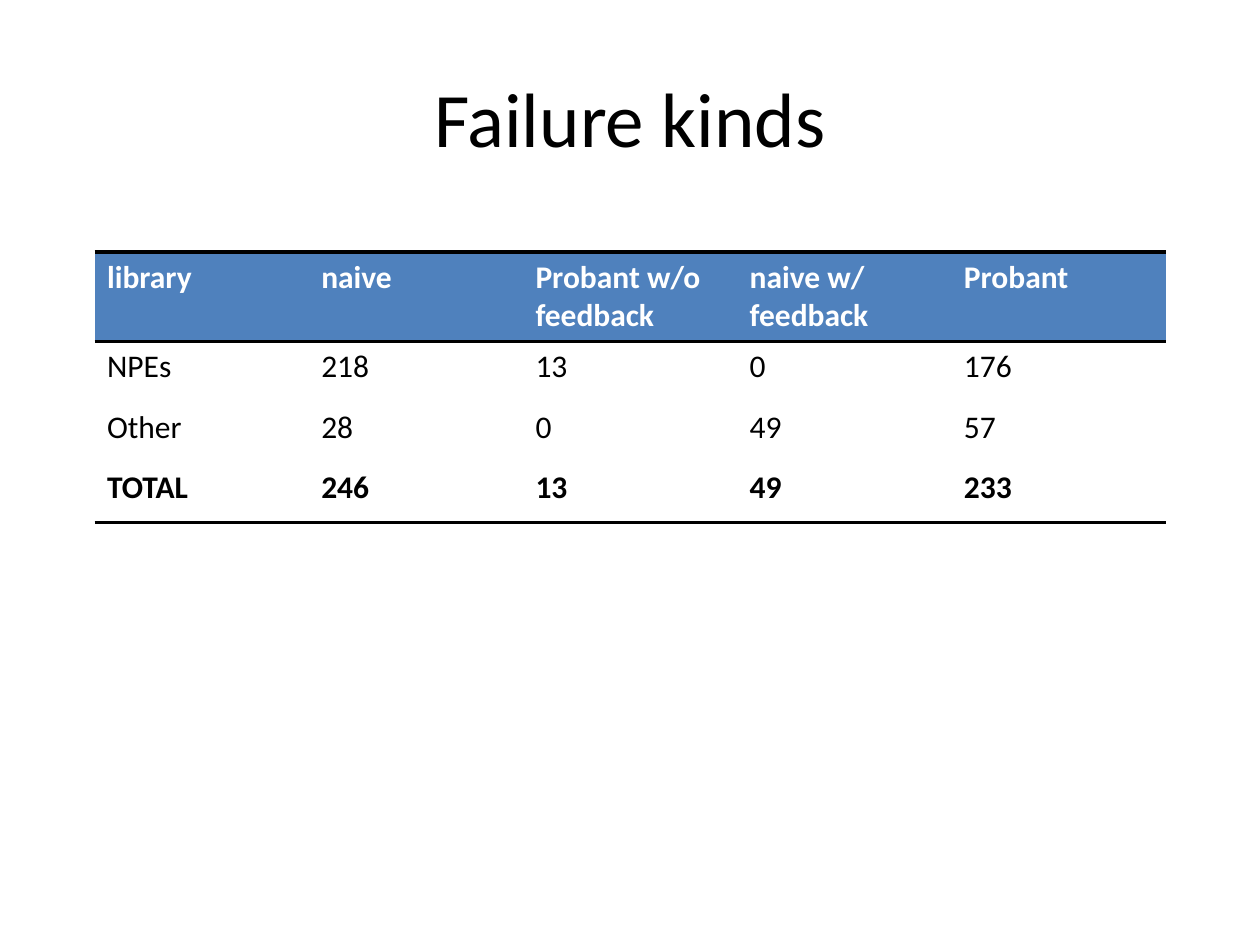
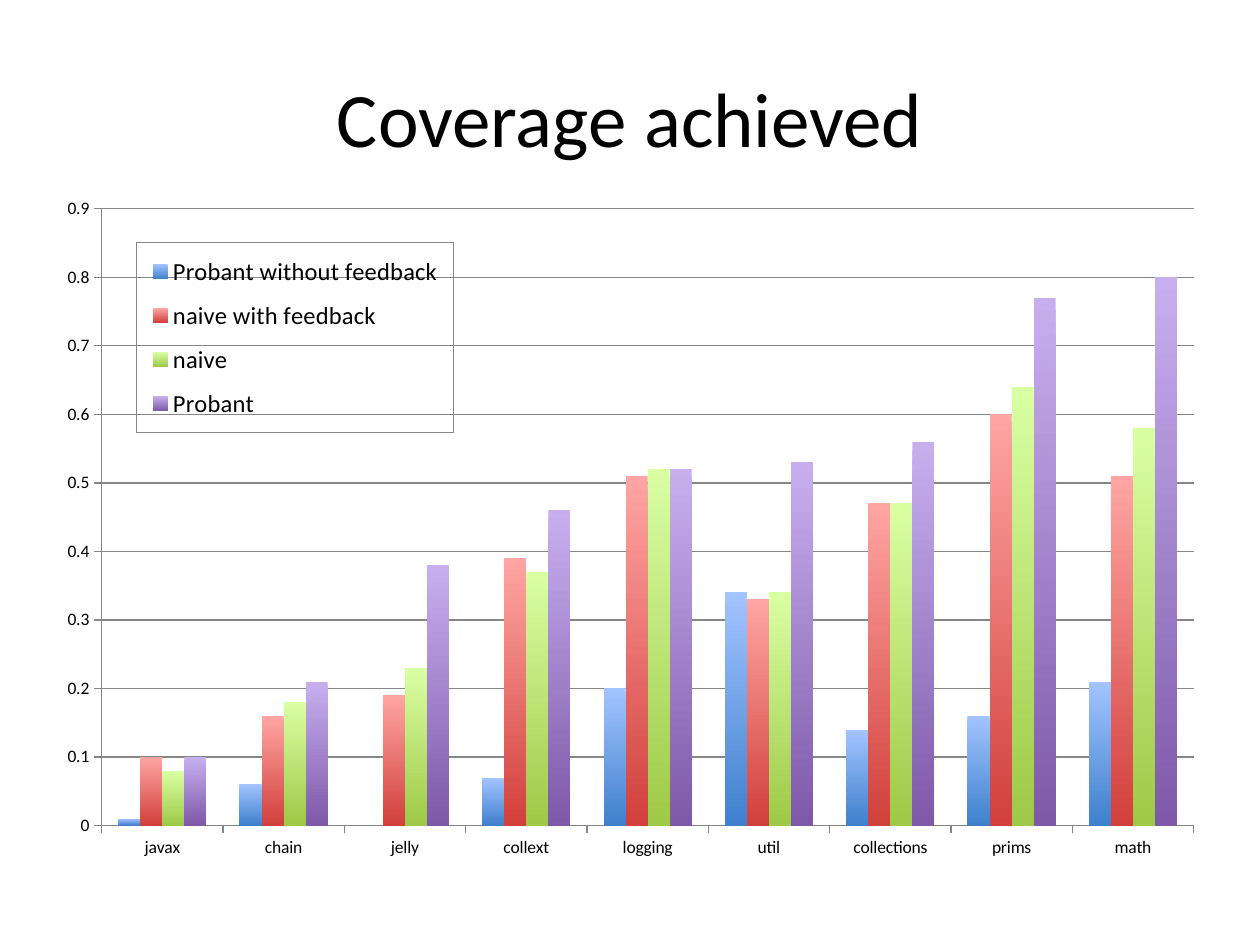
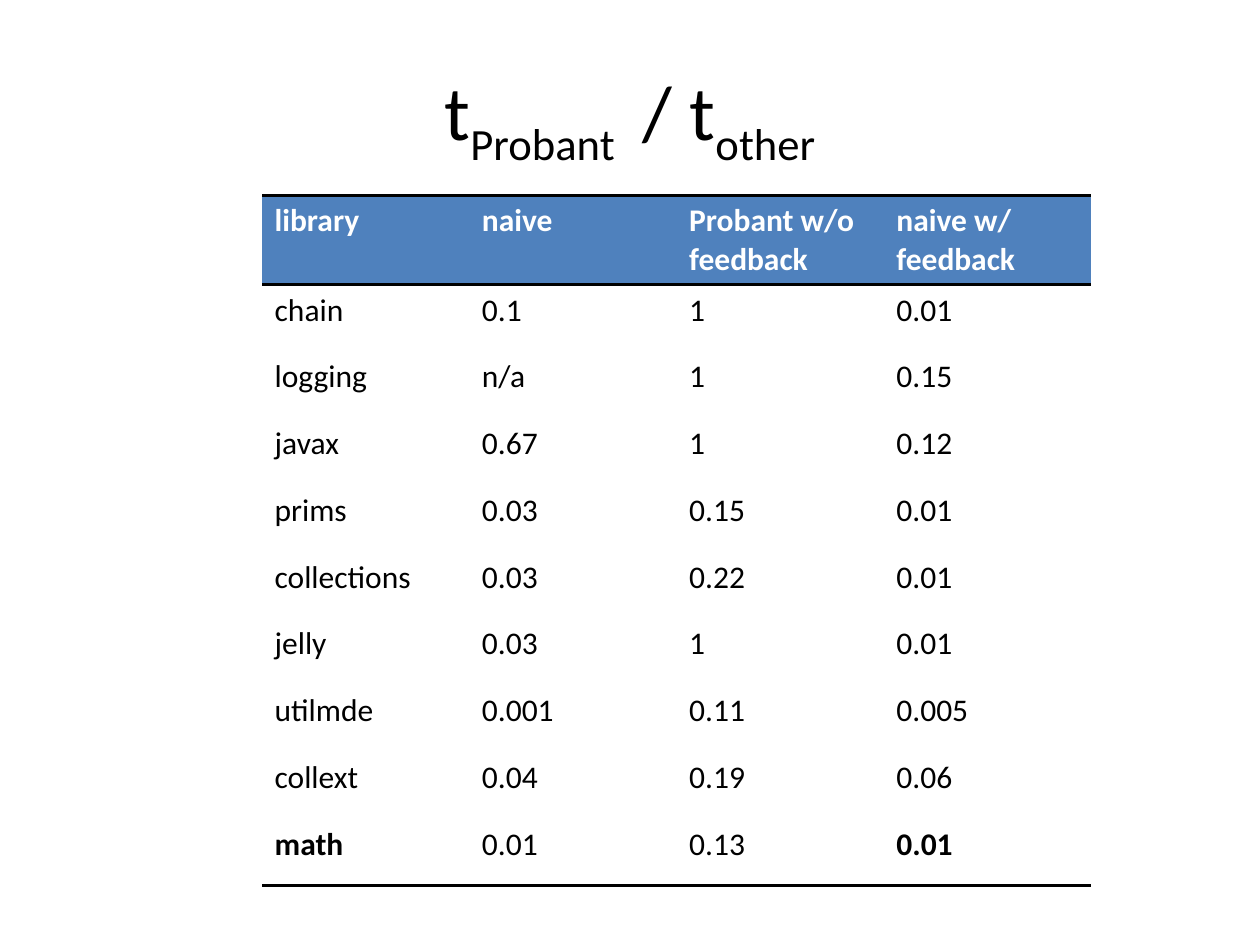
from lxml import etree
from pptx import Presentation
from pptx import util as u
from pptx.chart.data import CategoryChartData
from pptx.dml.color import RGBColor
from pptx.enum import chart as charts, text
from pptx.oxml import parse_xml
from pptx.oxml.ns import nsdecls, qn

FONT = "Calibri"
BLACK, WHITE, HEADER_BLUE, AXIS_GRAY = "000000", "FFFFFF", "4F81BD", "868686"
NO_TABLE_STYLE = "{2D5ABB26-0587-4C30-8999-92F81FD0307C}"
SUBSCRIPT = -25000

FAILURES = [
    ["library", "naive", "Probant w/o\nfeedback", "naive w/\nfeedback", "Probant"],
    ["NPEs", "218", "13", "0", "176"],
    ["Other", "28", "0", "49", "57"],
    ["TOTAL", "246", "13", "49", "233"],
]
TIME_RATIOS = [
    ["library", "naive", "Probant w/o feedback", "naive w/\nfeedback"],
    ["chain", "0.1", "1", "0.01"],
    ["logging", "n/a", "1", "0.15"],
    ["javax", "0.67", "1", "0.12"],
    ["prims", "0.03", "0.15", "0.01"],
    ["collections", "0.03", "0.22", "0.01"],
    ["jelly", "0.03", "1", "0.01"],
    ["utilmde", "0.001", "0.11", "0.005"],
    ["collext", "0.04", "0.19", "0.06"],
    ["math", "0.01", "0.13", "0.01"],
]
LIBRARIES = ["javax", "chain", "jelly", "collext", "logging", "util",
             "collections", "prims", "math"]
# name, top colour, bottom colour, coverage per library
COVERAGE = [
    ("Probant without feedback", "A3C4FF", "3F80CD",
     [0.01, 0.06, 0, 0.07, 0.2, 0.34, 0.14, 0.16, 0.21]),
    ("naive with feedback", "FFA5A3", "D1403C",
     [0.1, 0.16, 0.19, 0.39, 0.51, 0.33, 0.47, 0.6, 0.51]),
    ("naive", "D9FFA3", "9FC948",
     [0.08, 0.18, 0.23, 0.37, 0.52, 0.34, 0.47, 0.64, 0.58]),
    ("Probant", "C7AFEE", "7E59A9",
     [0.1, 0.21, 0.38, 0.46, 0.52, 0.53, 0.56, 0.77, 0.8]),
]


def color(hex_value):
    return RGBColor.from_string(hex_value)


def manual_layout(x, y, w, h, inner=False):
    """Chart layout element; lengths are fractions of the chart frame."""
    layout = parse_xml(f"<c:layout {nsdecls('c')}><c:manualLayout/></c:layout>")
    settings = [("layoutTarget", "inner")] if inner else []
    settings += [("xMode", "edge"), ("yMode", "edge"),
                 ("x", x), ("y", y), ("w", w), ("h", h)]
    for tag, value in settings:
        etree.SubElement(layout[0], qn(f"c:{tag}"), val=str(value))
    return layout


class Deck:
    def __init__(self):
        self.prs = Presentation()
        self.prs.slide_width, self.prs.slide_height = u.Inches(10), u.Inches(7.5)
        self.slide = None

    def style(self, font, size, hex_value=BLACK, bold=False):
        font.name, font.size, font.bold = FONT, u.Pt(size), bold
        font.color.rgb = color(hex_value)

    def add_slide(self, *title_runs):
        """Start a slide; each title run is (wording, baseline shift)."""
        self.slide = self.prs.slides.add_slide(self.prs.slide_layouts[6])
        title = self.slide.shapes.add_textbox(
            u.Inches(0.5), u.Inches(0.3), u.Inches(9), u.Inches(1.25)).text_frame
        title.word_wrap = True
        title.vertical_anchor = text.MSO_ANCHOR.MIDDLE
        heading = title.paragraphs[0]
        heading.alignment = text.PP_ALIGN.CENTER
        for wording, baseline in title_runs:
            run = heading.add_run()
            run.text = wording
            self.style(run.font, 44)
            if baseline:
                run._r.get_or_add_rPr().set("baseline", str(baseline))

    def rule(self, cell, side):
        """Draw a 2 pt black border; side is T or B."""
        cell._tc.get_or_add_tcPr().append(parse_xml(
            f'<a:ln{side} {nsdecls("a")} w="{u.Pt(2)}"><a:solidFill>'
            f'<a:srgbClr val="{BLACK}"/></a:solidFill></a:ln{side}>'))

    def add_table(self, rows, left, top, width, row_height, bold_cells):
        header_height = 0.71
        height = header_height + row_height * (len(rows) - 1)
        table = self.slide.shapes.add_table(
            len(rows), len(rows[0]), u.Inches(left), u.Inches(top),
            u.Inches(width), u.Inches(height)).table
        table._tbl.tblPr.find(qn("a:tableStyleId")).text = NO_TABLE_STYLE
        table.first_row = table.horz_banding = False
        for r, values in enumerate(rows):
            is_header = r == 0
            table.rows[r].height = u.Inches(header_height if is_header else row_height)
            for c, value in enumerate(values):
                cell = table.cell(r, c)
                if is_header:
                    self.rule(cell, "T")
                if is_header or r == len(rows) - 1:
                    self.rule(cell, "B")
                cell.fill.solid()
                cell.fill.fore_color.rgb = color(HEADER_BLUE if is_header else WHITE)
                for i, line in enumerate(value.split("\n")):
                    frame = cell.text_frame
                    paragraph = frame.add_paragraph() if i else frame.paragraphs[0]
                    run = paragraph.add_run()
                    run.text = line
                    self.style(run.font, 18, WHITE if is_header else BLACK,
                               is_header or (r, c) in bold_cells)

    def add_column_chart(self, categories, series, left, top, width, height):
        data = CategoryChartData()
        data.categories = categories
        for name, _, _, values in series:
            data.add_series(name, values)
        chart = self.slide.shapes.add_chart(
            charts.XL_CHART_TYPE.COLUMN_CLUSTERED, u.Inches(left), u.Inches(top),
            u.Inches(width), u.Inches(height), data).chart
        chart.has_title = False
        self.style(chart.font, 10)

        plot = chart.plots[0]
        plot.vary_by_categories = False
        plot.gap_width, plot.overlap = 150, 0
        for bars, (_, top_color, bottom_color, _) in zip(plot.series, series):
            fill = bars.format.fill
            fill.gradient()
            fill.gradient_angle = 270
            for stop, hex_value in zip(fill.gradient_stops, (top_color, bottom_color)):
                stop.color.rgb = color(hex_value)

        scale = chart.value_axis
        scale.minimum_scale, scale.maximum_scale, scale.major_unit = 0, 0.9, 0.1
        scale.has_major_gridlines = True
        for axis in (chart.category_axis, scale):
            axis.major_tick_mark = charts.XL_TICK_MARK.OUTSIDE
        for line in (chart.category_axis.format.line, scale.format.line,
                     scale.major_gridlines.format.line):
            line.color.rgb = color(AXIS_GRAY)
            line.width = u.Pt(0.75)

        plot_area = chart._chartSpace.find(f".//{qn('c:plotArea')}")
        for automatic in plot_area.findall(qn("c:layout")):
            plot_area.remove(automatic)
        plot_area.insert(0, manual_layout(0.05, 0.02, 0.93, 0.91, inner=True))
        self.add_legend(chart)

    def add_legend(self, chart):
        chart.has_legend = True
        legend = chart.legend
        legend.position = charts.XL_LEGEND_POSITION.RIGHT
        legend.include_in_layout = False
        self.style(legend.font, 14)
        element = legend._element
        for automatic in element.findall(qn("c:layout")):
            element.remove(automatic)
        element.find(qn("c:legendPos")).addnext(manual_layout(0.08, 0.07, 0.27, 0.28))
        element.find(qn("c:overlay")).addnext(parse_xml(
            f'<c:spPr {nsdecls("c", "a")}><a:noFill/><a:ln w="{u.Pt(0.75)}"><a:solidFill>'
            f'<a:srgbClr val="{AXIS_GRAY}"/></a:solidFill></a:ln></c:spPr>'))


def main():
    deck = Deck()

    deck.add_slide(("Failure kinds", 0))
    total_row = len(FAILURES) - 1
    deck.add_table(FAILURES, 0.75, 2, 8.5, 0.48,
                   {(total_row, c) for c in range(len(FAILURES[0]))})

    deck.add_slide(("Coverage achieved", 0))
    deck.add_column_chart(LIBRARIES, COVERAGE, 0.34, 1.55, 9.32, 5.38)

    deck.add_slide(("t", 0), ("Probant ", SUBSCRIPT), (" / t", 0), ("other", SUBSCRIPT))
    math_row = len(TIME_RATIOS) - 1
    deck.add_table(TIME_RATIOS, 2.08, 1.55, 6.58, 0.53, {(math_row, 0), (math_row, 3)})

    deck.prs.save("out.pptx")


if __name__ == "__main__":
    main()
